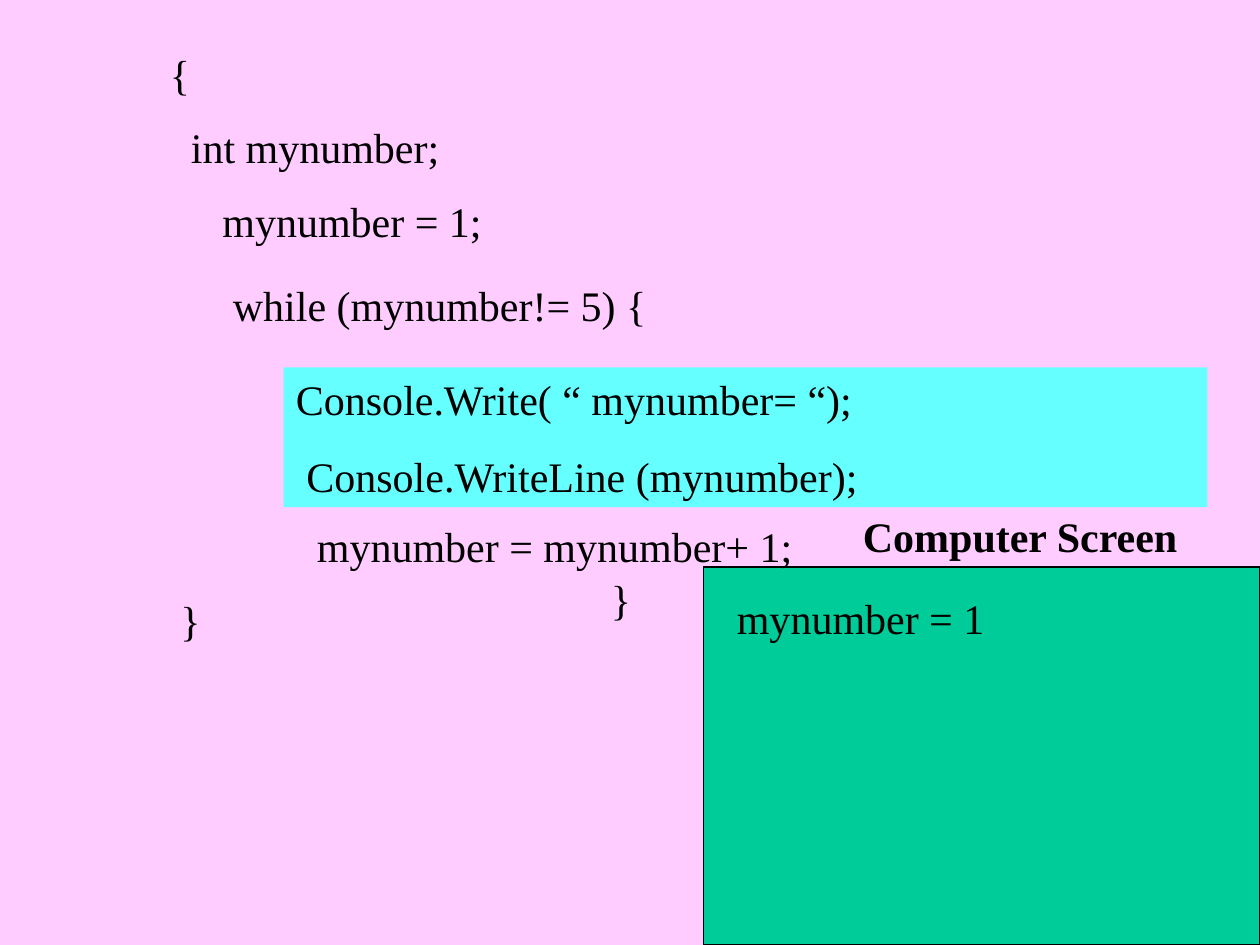
"""Build a slide that steps through a while loop beside its screen output."""
import pptx
import pptx.dml.color
import pptx.enum.shapes
import pptx.enum.text
import pptx.util

THEME = {
    "font": "Times New Roman",
    "size": pptx.util.Pt(24),
    "gap": pptx.util.Pt(15),
    "outline": pptx.util.Pt(0.75),
    "ink": pptx.dml.color.RGBColor.from_string("000000"),
    "page": pptx.dml.color.RGBColor.from_string("FFCCFF"),
    "screen": pptx.dml.color.RGBColor.from_string("00CC99"),
    "highlight": pptx.dml.color.RGBColor.from_string("66FFFF"),
}
RECTANGLE = pptx.enum.shapes.MSO_SHAPE.RECTANGLE

deck = pptx.Presentation()
deck.slide_width = pptx.util.Inches(10)
deck.slide_height = pptx.util.Inches(7.5)
COLUMN = deck.slide_width / 120
ROW = deck.slide_height / 90


def place(column, row, columns, rows):
    """Turn grid cells into left, top, width and height."""
    return [round(column * COLUMN), round(row * ROW), round(columns * COLUMN), round(rows * ROW)]


def write(holder, lines, bold=False):
    """Fill a shape with lines of left-aligned text."""
    frame = holder.text_frame
    frame.word_wrap = True
    frame.auto_size = pptx.enum.text.MSO_AUTO_SIZE.SHAPE_TO_FIT_TEXT
    frame.vertical_anchor = pptx.enum.text.MSO_ANCHOR.TOP
    for index, line in enumerate(lines):
        paragraph = frame.add_paragraph() if index else frame.paragraphs[0]
        paragraph.alignment = pptx.enum.text.PP_ALIGN.LEFT
        if index:
            paragraph.space_before = THEME["gap"]
        run = paragraph.add_run()
        run.text = line
        run.font.name = THEME["font"]
        run.font.size = THEME["size"]
        run.font.bold = bold
        run.font.color.rgb = THEME["ink"]


slide = deck.slides.add_slide(deck.slide_layouts[6])
slide.background.fill.solid()
slide.background.fill.fore_color.rgb = THEME["page"]

screen = slide.shapes.add_shape(RECTANGLE, *place(67, 54, 53, 36))
screen.shadow.inherit = False
screen.fill.solid()
screen.fill.fore_color.rgb = THEME["screen"]
screen.line.color.rgb = THEME["ink"]
screen.line.width = THEME["outline"]

current_step = slide.shapes.add_shape(RECTANGLE, *place(27, 35, 88, 13.3))
current_step.shadow.inherit = False
current_step.fill.solid()
current_step.fill.fore_color.rgb = THEME["highlight"]
current_step.line.fill.background()
write(current_step, ["Console.Write( “ mynumber= “);", " Console.WriteLine (mynumber);"])

for text, column, row, columns, bold in [
    ("Computer Screen", 81, 48, 35, True),
    ("{", 15, 4, 54, False),
    ("int mynumber;", 17, 11, 52, False),
    ("mynumber = 1;", 20, 18, 33, False),
    ("while (mynumber!= 5) {", 21, 26, 45, False),
    ("mynumber = mynumber+ 1;", 29, 49, 52, False),
    ("}", 57, 54, 12, False),
    ("}", 16, 56, 33, False),
    ("mynumber = 1", 69, 55.8, 30, False),
]:
    write(slide.shapes.add_textbox(*place(column, row, columns, 6)), [text], bold)

deck.save("out.pptx")
